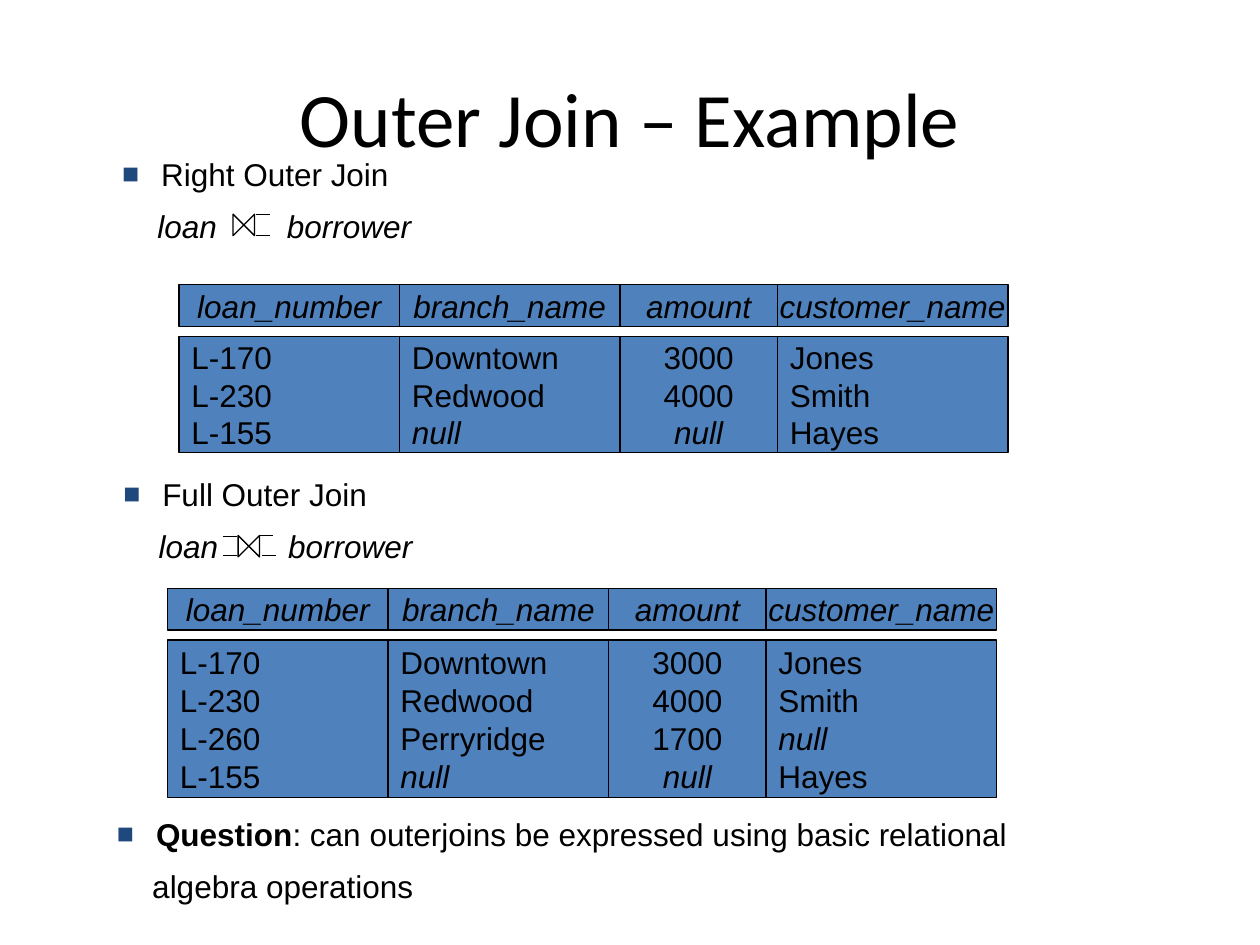
"""Build a slide on right and full outer joins with their result tables."""
from dataclasses import dataclass

import pptx
import pptx.dml.color
import pptx.enum.shapes
import pptx.enum.text
import pptx.oxml
import pptx.oxml.ns
import pptx.util

Inches = pptx.util.Inches
Pt = pptx.util.Pt
RGB = pptx.dml.color.RGBColor
Align = pptx.enum.text.PP_ALIGN
Shape = pptx.enum.shapes.MSO_SHAPE
A = pptx.oxml.ns.nsdecls("a")


@dataclass(frozen=True)
class Theme:
    ink: RGB = RGB(0, 0, 0)
    fill: RGB = RGB(0x4F, 0x81, 0xBD)
    mark: str = "1F497D"
    head: str = "Calibri"
    body: str = "Arial"
    big: float = 44
    text: float = 18
    gap: float = 7.9
    rule: float = 0.75


@dataclass(frozen=True)
class Run:
    text: str
    bold: bool = False
    slant: bool = False
    spread: int = 0


@dataclass(frozen=True)
class Column:
    name: str
    width: float
    align: Align = Align.LEFT


@dataclass(frozen=True)
class Grid:
    left: float
    top: float
    depth: float
    rows: tuple[tuple[str, ...], ...]


@dataclass(frozen=True)
class Note:
    left: float
    top: float
    width: float
    lead: tuple[Run, ...]
    tail: tuple[Run, ...]


@dataclass(frozen=True)
class Join:
    left: float
    top: float
    bars: tuple[tuple[float, float], ...]


THEME = Theme()
COLUMNS = (
    Column("loan_number", 1.75),
    Column("branch_name", 1.75),
    Column("amount", 1.25, Align.CENTER),
    Column("customer_name", 1.83),
)
SHARED = (
    ("L-170", "Downtown", "3000", "Jones"),
    ("L-230", "Redwood", "4000", "Smith"),
)
LAST = ("L-155", "null", "null", "Hayes")
GRIDS = (
    Grid(1.42, 2.26, 0.92, (*SHARED, LAST)),
    Grid(1.33, 4.67, 1.25,
         (*SHARED, ("L-260", "Perryridge", "1700", "null"), LAST)),
)
PAIR = (
    Run("loan", slant=True),
    Run(" ", slant=True, spread=35),
    Run("borrower", slant=True),
)
NOTES = (
    Note(0.88, 3.72, 4.45, (Run("Full Outer Join"),), PAIR),
    Note(0.87, 1.18, 4.45, (Run("Right Outer Join"),), PAIR),
    Note(0.83, 6.42, 7.92,
         (Run("Question", bold=True),
          Run(": can outerjoins be expressed using basic relational")),
         (Run("algebra operations"),)),
)
JOINS = (
    Join(1.89, 4.25, ((1.77, 4.26), (1.77, 4.41), (2.08, 4.41), (2.06, 4.25))),
    Join(1.85, 1.7, ((2.03, 1.7), (2.03, 1.87))),
)


def write(para, run: Run, font: str = THEME.body, size: float = THEME.text) -> None:
    piece = para.add_run()
    piece.text = run.text
    piece.font.name = font
    piece.font.size = Pt(size)
    piece.font.bold = run.bold
    piece.font.italic = run.slant
    piece.font.color.rgb = THEME.ink
    if run.spread:
        piece._r.get_or_add_rPr().set("spc", str(run.spread * 100))


def stroke(item) -> None:
    item.line.color.rgb = THEME.ink
    item.line.width = Pt(THEME.rule)


def draw_cell(slide, left: float, top: float, width: float, height: float,
              runs: list[Run], align: Align) -> None:
    cell = slide.shapes.add_shape(
        Shape.RECTANGLE, Inches(left), Inches(top), Inches(width), Inches(height))
    cell.shadow.inherit = False
    cell.fill.solid()
    cell.fill.fore_color.rgb = THEME.fill
    stroke(cell)
    frame = cell.text_frame
    frame.word_wrap = False
    frame.vertical_anchor = pptx.enum.text.MSO_ANCHOR.MIDDLE
    for i, run in enumerate(runs):
        para = frame.add_paragraph() if i else frame.paragraphs[0]
        para.alignment = align
        write(para, run)


def draw_grid(slide, grid: Grid) -> None:
    left = grid.left
    for col, vals in zip(COLUMNS, zip(*grid.rows)):
        draw_cell(slide, left, grid.top, col.width, 0.33,
                  [Run(col.name, slant=True)], Align.CENTER)
        draw_cell(slide, left, grid.top + 0.41, col.width, grid.depth,
                  [Run(val, slant=val == "null") for val in vals], col.align)
        left += col.width


def fill_line(para, left: float, first: float, runs: tuple[Run, ...]) -> None:
    para.space_before = Pt(THEME.gap)
    props = para._p.get_or_add_pPr()
    props.set("marL", str(Inches(left)))
    props.set("indent", str(Inches(first)))
    for run in runs:
        write(para, run)


def add_mark(para) -> None:
    props = para._p.get_or_add_pPr()
    for part in (
        f'<a:buClr {A}><a:srgbClr val="{THEME.mark}"/></a:buClr>',
        f'<a:buSzPct {A} val="90000"/>',
        f'<a:buFont {A} typeface="{THEME.body}"/>',
        f'<a:buChar {A} char="■"/>',
    ):
        props.append(pptx.oxml.parse_xml(part))


def draw_note(slide, note: Note) -> None:
    box = slide.shapes.add_textbox(
        Inches(note.left), Inches(note.top), Inches(note.width), Inches(0.81))
    frame = box.text_frame
    frame.word_wrap = True
    lead = frame.paragraphs[0]
    fill_line(lead, 0.31, -0.31, note.lead)
    add_mark(lead)
    fill_line(frame.add_paragraph(), 0.28, 0, note.tail)


def draw_join(slide, join: Join) -> None:
    bow = slide.shapes.add_shape(
        Shape.FLOWCHART_COLLATE, Inches(join.left), Inches(join.top),
        Inches(0.17), Inches(0.17))
    bow.rotation = 270
    bow.shadow.inherit = False
    bow.fill.background()
    stroke(bow)
    for x, y in join.bars:
        bar = slide.shapes.add_connector(
            pptx.enum.shapes.MSO_CONNECTOR.STRAIGHT,
            Inches(x), Inches(y), Inches(x + 0.11), Inches(y))
        stroke(bar)
        bar._element.spPr.append(pptx.oxml.parse_xml(f"<a:effectLst {A}/>"))


def main() -> None:
    deck = pptx.Presentation()
    deck.slide_width, deck.slide_height = Inches(10), Inches(7.5)
    slide = deck.slides.add_slide(deck.slide_layouts[5])
    title = slide.shapes.title
    title.left, title.top = Inches(0.5), Inches(0.3)
    title.width, title.height = Inches(9), Inches(1.25)
    title.text_frame.vertical_anchor = pptx.enum.text.MSO_ANCHOR.MIDDLE
    para = title.text_frame.paragraphs[0]
    para.alignment = Align.CENTER
    write(para, Run("Outer Join – Example"), THEME.head, THEME.big)
    for grid in GRIDS:
        draw_grid(slide, grid)
    for note in NOTES:
        draw_note(slide, note)
    for join in JOINS:
        draw_join(slide, join)
    deck.save("out.pptx")


if __name__ == "__main__":
    main()
